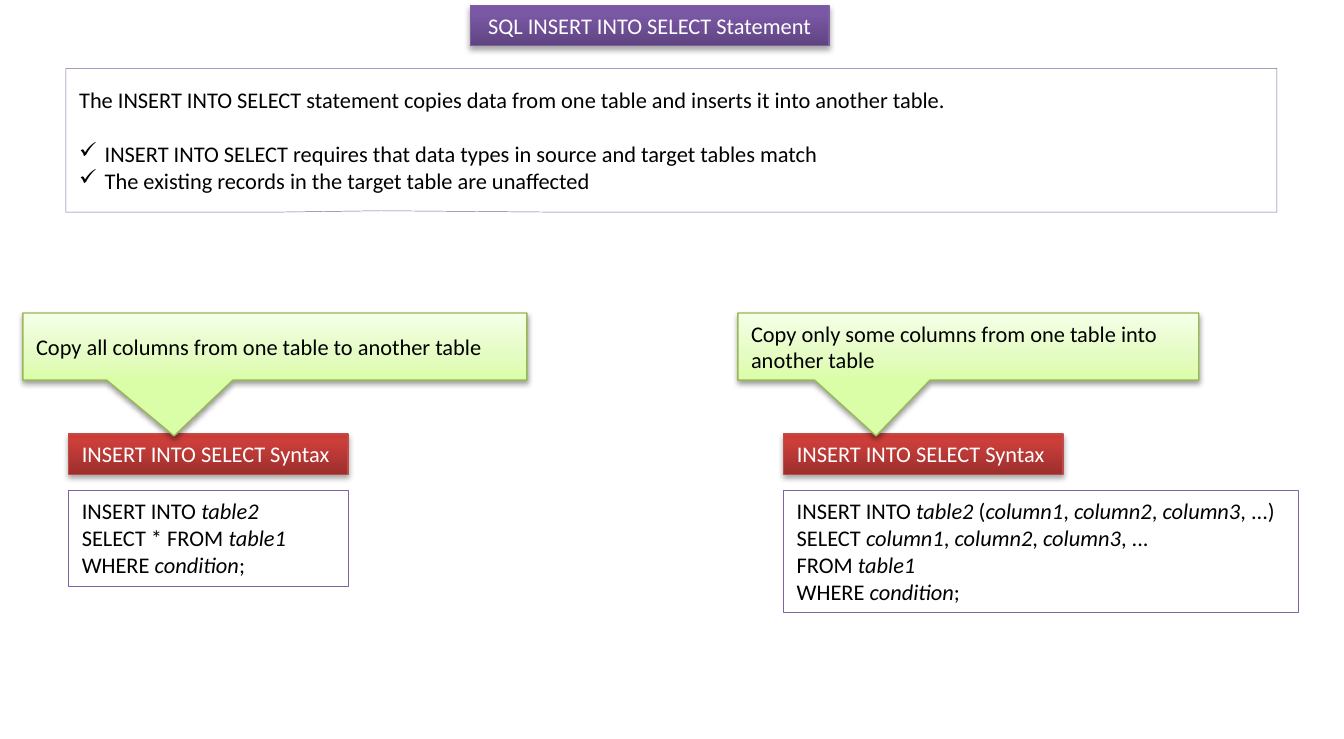
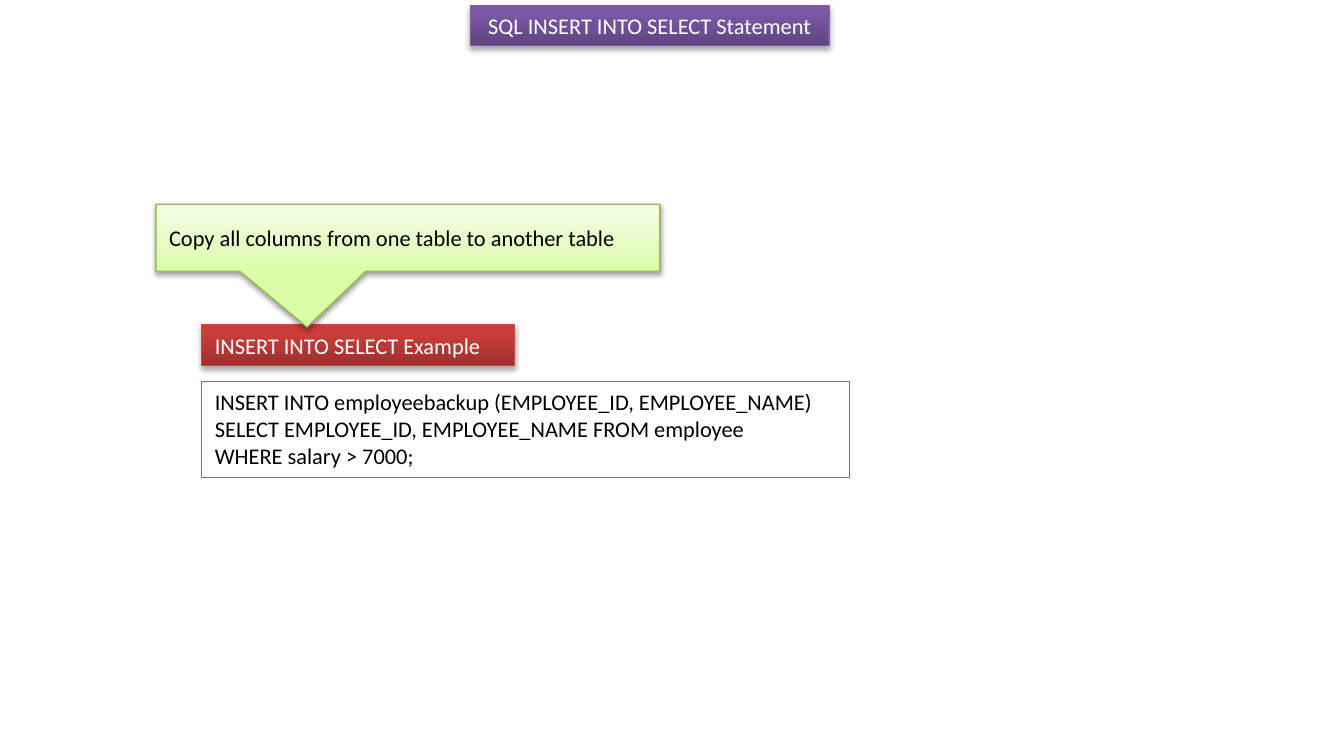
"""Build two slides on the SQL INSERT INTO SELECT statement."""
from typing import NamedTuple, Optional

from lxml.etree import SubElement
from pptx import Presentation
from pptx.dml.color import RGBColor
from pptx.enum.shapes import MSO_SHAPE as Kind
from pptx.enum.text import MSO_ANCHOR as Anchor, MSO_AUTO_SIZE as Fit, PP_ALIGN as Align
from pptx.oxml.ns import qn
from pptx.util import Inches, Pt

WIDE, HIGH = Inches(10), Inches(5.5)
COL, ROW = WIDE / 100, HIGH / 55
FONT, SIZE = "Calibri", 12
BLACK, WHITE = "000000", "FFFFFF"


class Box(NamedTuple):
    """Place and size in grid columns and rows."""
    x: float
    y: float
    w: float
    h: float


class Look(NamedTuple):
    """Fill stops, line, text colour and shadow of a kind of box."""
    stops: tuple
    line: str
    ink: str = WHITE
    width: float = 0.75
    alpha: int = 35
    dist: float = 1.8


class Step(NamedTuple):
    """A callout above a red bar above a box of code."""
    x: float
    y: float
    note: str
    span: float
    head: str
    bar: float
    code: list
    wide: float
    tall: float


TITLE = Look(((0, "5F4480"), (80, "7B58A6"), (100, "7C57A8")), "7D60A0")
HEAD = Look(((0, "9C2F2D"), (80, "CB3E3A"), (100, "CE3B37")), "BF4C48")
NOTE = Look(((0, "DAFDA7"), (35, "E4FCC2"), (100, "F5FFE7")), "98B955",
            BLACK, alpha=38, dist=1.6)
PLAIN = Look((), "8064A2", BLACK, 0.25)

ALL = "Copy all columns from one table to another table"
SOME = "Copy only some columns from one table into another table"
SYNTAX = "INSERT INTO SELECT Syntax"
COLS = "|column1|, |column2|, |column3|, ..."
INTRO = ["The INSERT INTO SELECT statement copies data from one table "
         "and inserts it into another table."]
FACTS = ["INSERT INTO SELECT requires that data types in source and target tables match",
         "The existing records in the target table are unaffected"]
RULES = [
    Step(1.7, 23.3, ALL, 37.5, SYNTAX, 20.8,
         ["INSERT INTO |table2\n|SELECT * FROM |table1\n|WHERE |condition|;"], 20.8, 7.1),
    Step(54.9, 23.3, SOME, 34.3, SYNTAX, 20.8,
         [f"INSERT INTO |table2 |({COLS})\nSELECT {COLS}\nFROM |table1\n|WHERE |condition|;"],
         38.3, 9.1),
]
SAMPLE = Step(11.6, 15.2, ALL, 37.5, "INSERT INTO SELECT Example", 23.3,
              ["INSERT INTO employeebackup (EMPLOYEE_ID, EMPLOYEE_NAME)",
               "SELECT EMPLOYEE_ID, EMPLOYEE_NAME FROM employee",
               "WHERE salary > 7000;"], 48.2, 7.1)


def tint(code: str) -> RGBColor:
    """Turn a hex string into a colour."""
    return RGBColor.from_string(code)


def shade(parent, code: str, alpha: int = 100) -> None:
    """Add a colour element with the given opacity."""
    tone = SubElement(parent, qn("a:srgbClr"), val=code)
    if alpha < 100:
        SubElement(tone, qn("a:alpha"), val=str(alpha * 1000))


def blend(shape, look: Look) -> None:
    """Give a shape its upward gradient and soft shadow."""
    shape.fill.gradient()
    shape.fill.gradient_angle = 90
    props = shape._element.spPr
    stops = props.find(qn("a:gradFill")).find(qn("a:gsLst"))
    for old in list(stops):
        stops.remove(old)
    for pos, code in look.stops:
        shade(SubElement(stops, qn("a:gs"), pos=str(pos * 1000)), code)
    cast = SubElement(props.find(qn("a:effectLst")), qn("a:outerShdw"),
                      blurRad=str(Pt(3.1)), dist=str(Pt(look.dist)),
                      dir="5400000", rotWithShape="0")
    shade(cast, BLACK, look.alpha)


def write(frame, lines: list, *, ink: str, align=Align.LEFT, marks: int = 0,
          gap: float = 0) -> None:
    """Write lines, with italics between bars and ticks on the last few."""
    first = len(lines) - marks
    for row, line in enumerate(lines):
        para = frame.paragraphs[0] if row == 0 else frame.add_paragraph()
        para.alignment = align
        if row >= first:
            props = para._p.get_or_add_pPr()
            props.set("marL", str(Inches(0.19)))
            props.set("indent", str(-Inches(0.19)))
            SubElement(props, qn("a:buChar"), char="✓")
            if row == first:
                para.space_before = Pt(gap)
        for turn, part in enumerate(line.split("|")):
            for nth, text in enumerate(part.split("\n")):
                if nth:
                    para.add_line_break()
                if text:
                    run = para.add_run()
                    run.text = text
                    font = run.font
                    font.name, font.size = FONT, Pt(SIZE)
                    font.italic = turn % 2 == 1
                    font.color.rgb = tint(ink)


def draw(slide, box: Box, look: Look, lines: list, tip: Optional[tuple] = None, **form):
    """Draw a text box, or a callout when it has a tip."""
    kind = Kind.RECTANGULAR_CALLOUT if tip else Kind.RECTANGLE
    shape = slide.shapes.add_shape(kind, round(box.x * COL), round(box.y * ROW),
                                   round(box.w * COL), round(box.h * ROW))
    for nth, value in enumerate(tip or ()):
        shape.adjustments[nth] = value
    shape.shadow.inherit = False
    shape.line.color.rgb = tint(look.line)
    shape.line.width = Pt(look.width)
    if look.stops:
        blend(shape, look)
    else:
        shape.fill.solid()
        shape.fill.fore_color.rgb = tint(WHITE)
    frame = shape.text_frame
    frame.word_wrap = True
    frame.vertical_anchor = Anchor.MIDDLE if tip else Anchor.TOP
    frame.auto_size = Fit.NONE if tip else Fit.SHAPE_TO_FIT_TEXT
    write(frame, lines, ink=look.ink, **form)


def stack(slide, step: Step) -> None:
    """Draw code, bar and callout at fixed offsets."""
    left = step.x + 3.4
    draw(slide, Box(left, step.y + 13.2, step.wide, step.tall), PLAIN, step.code)
    draw(slide, Box(left, step.y + 9, step.bar, 3), HEAD, [step.head])
    draw(slide, Box(step.x, step.y, step.span, 5), NOTE, [step.note], (-0.2, 1.33))


def start(deck):
    """Add a blank slide with the shared title."""
    slide = deck.slides.add_slide(deck.slide_layouts[6])
    draw(slide, Box(35, 0.4, 26.7, 3), TITLE, ["SQL INSERT INTO SELECT Statement"],
         align=Align.CENTER)
    return slide


def main() -> None:
    """Build and save the deck."""
    deck = Presentation()
    deck.slide_width, deck.slide_height = WIDE, HIGH
    slide = start(deck)
    draw(slide, Box(4.9, 5.1, 90.1, 10.7), PLAIN, INTRO + FACTS, (-0.24, 0.49),
         marks=len(FACTS), gap=14.5)
    for step in RULES:
        stack(slide, step)
    stack(start(deck), SAMPLE)
    deck.save("out.pptx")


if __name__ == "__main__":
    main()
